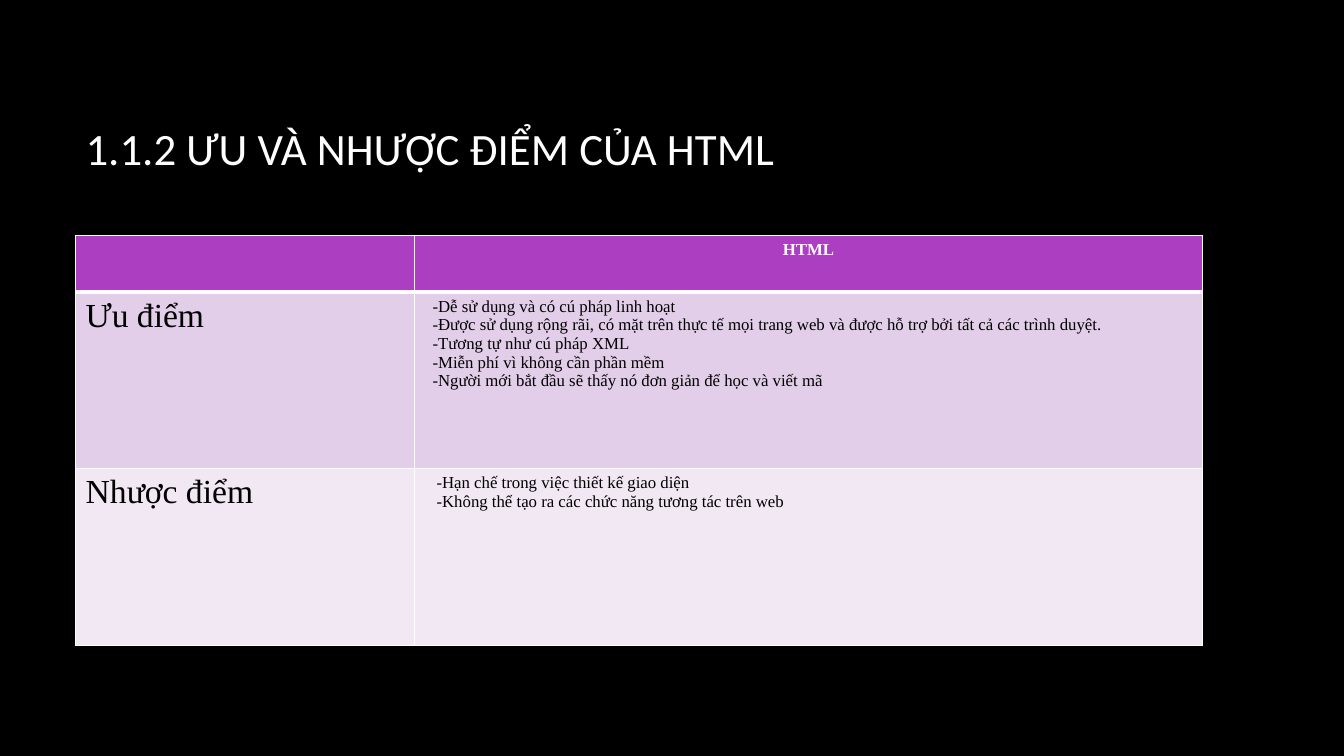
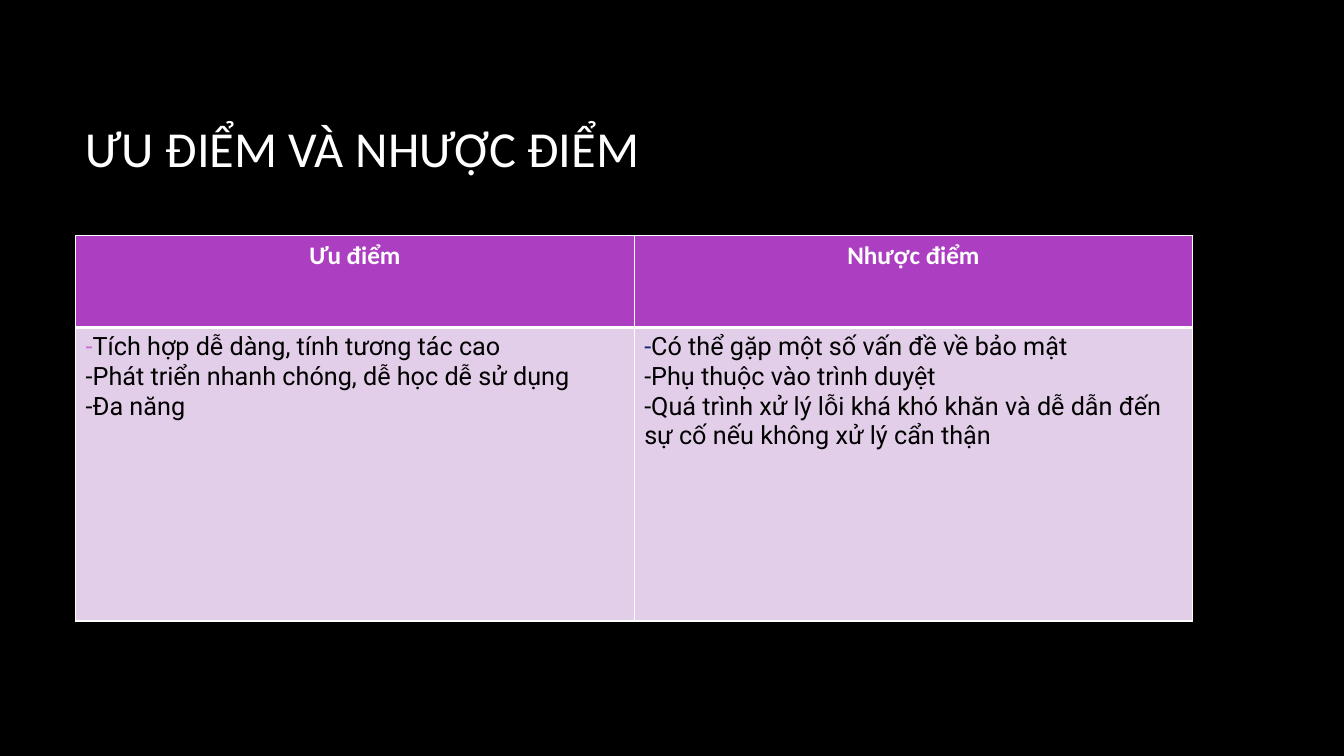
import pptx
import pptx.util
import pptx.dml.color
import pptx.enum.text
import lxml.etree

Inches, Pt = pptx.util.Inches, pptx.util.Pt
ALIGN = pptx.enum.text.PP_ALIGN
COLORS = {
    "background": "000000", "light": "FFFFFF", "dark": "000000",
    "header": "AC3EC1", "band": "E3CEE9", "band_pale": "F1E8F4",
    "dash_pink": "C573D2", "dash_navy": "18276C",
}
LEFT, TITLE_TOP, TABLE_TOP = 0.75, 0.67, 2.34
TITLE_W, TITLE_H = 11.08, 1.59
GRID_PT, HEADER_RULE_PT = 1, 3


def rgb(name):
    return pptx.dml.color.RGBColor.from_string(COLORS[name])


def set_font(font, name, size, color, bold=False):
    font.name, font.size, font.bold = name, Pt(size), bold
    font.color.rgb = rgb(color)


def add_slide(prs, title, title_size):
    s = prs.slides.add_slide(prs.slide_layouts[6])
    s.background.fill.solid()
    s.background.fill.fore_color.rgb = rgb("background")
    sp = s.shapes.add_textbox(Inches(LEFT), Inches(TITLE_TOP),
                              Inches(TITLE_W), Inches(TITLE_H))
    tf = sp.text_frame
    tf.word_wrap = True
    tf.vertical_anchor = pptx.enum.text.MSO_ANCHOR.MIDDLE
    p = tf.paragraphs[0]
    p.text = title
    set_font(p.font, "Calibri", title_size, "light")
    return s


def set_borders(cell, widths):
    """Draw light cell borders; widths maps L, R, T, B to points."""
    tc_pr = cell._tc.get_or_add_tcPr()
    ns = pptx.oxml.ns.qn
    for side, width in widths.items():
        ln = lxml.etree.SubElement(tc_pr, ns("a:ln" + side), w=str(Pt(width)))
        fill = lxml.etree.SubElement(ln, ns("a:solidFill"))
        lxml.etree.SubElement(fill, ns("a:srgbClr"), val=COLORS["light"])


def add_table(s, left, top, widths, heights, fills):
    """Add a ruled table with one fill per row and a thick rule under row 0."""
    table = s.shapes.add_table(len(heights), len(widths), Inches(left), Inches(top),
                               Inches(sum(widths)), Inches(sum(heights))).table
    table.first_row = table.horz_banding = False
    for column, width in zip(table.columns, widths):
        column.width = Inches(width)
    for i, (row, height, fill) in enumerate(zip(table.rows, heights, fills)):
        row.height = Inches(height)
        for cell in row.cells:
            set_borders(cell, {
                "L": GRID_PT, "R": GRID_PT,
                "T": HEADER_RULE_PT if i == 1 else GRID_PT,
                "B": HEADER_RULE_PT if i == 0 else GRID_PT})
            cell.fill.solid()
            cell.fill.fore_color.rgb = rgb(fill)
    return table


def fill_cell(cell, lines, font, size, color="dark", bold=False,
              align=ALIGN.LEFT, indent=0, dash_color=None):
    """Write one paragraph a line; dash_color tints the first line's dash."""
    tf = cell.text_frame
    cell.margin_left = Inches(0.1 + indent)
    for i, line in enumerate(lines):
        p = tf.paragraphs[0] if i == 0 else tf.add_paragraph()
        p.alignment = align
        set_font(p.font, font, size, color, bold)
        if i == 0 and dash_color:
            r = p.add_run()
            r.text, line = line[0], line[1:]
            r.font.color.rgb = rgb(dash_color)
        p.add_run().text = line


def build_html_slide(prs):
    s = add_slide(prs, "1.1.2 ƯU VÀ NHƯỢC ĐIỂM CỦA HTML", 32)
    table = add_table(s, LEFT, TABLE_TOP, [3.36, 7.82], [0.56, 1.75, 1.75],
                      ["header", "band", "band_pale"])
    serif = "Times New Roman"
    fill_cell(table.cell(0, 1), ["HTML"], serif, 12, "light", True, ALIGN.CENTER)
    rows = [
        ("Ưu điểm", 0.08, [
            "-Dễ sử dụng và có cú pháp linh hoạt",
            "-Được sử dụng rộng rãi, có mặt trên thực tế mọi trang web và được "
            "hỗ trợ bởi tất cả các trình duyệt.",
            "-Tương tự như cú pháp XML",
            "-Miễn phí vì không cần phần mềm",
            "-Người mới bắt đầu sẽ thấy nó đơn giản để học và viết mã"]),
        ("Nhược điểm", 0.12, [
            "-Hạn chế trong việc thiết kế giao diện",
            "-Không thể tạo ra các chức năng tương tác trên web"]),
    ]
    for i, (label, indent, lines) in enumerate(rows, 1):
        fill_cell(table.cell(i, 0), [label], serif, 24)
        fill_cell(table.cell(i, 1), lines, serif, 12, indent=indent)


def build_comparison_slide(prs):
    s = add_slide(prs, "ƯU ĐIỂM VÀ NHƯỢC ĐIỂM", 36)
    table = add_table(s, LEFT, TABLE_TOP, [5.54, 5.54], [0.91, 2.91],
                      ["header", "band"])
    columns = [
        ("Ưu điểm", "dash_pink", [
            "-Tích hợp dễ dàng, tính tương tác cao",
            "-Phát triển nhanh chóng, dễ học dễ sử dụng",
            "-Đa năng"]),
        ("Nhược điểm", "dash_navy", [
            "-Có thể gặp một số vấn đề về bảo mật",
            "-Phụ thuộc vào trình duyệt",
            "-Quá trình xử lý lỗi khá khó khăn và dễ dẫn đến sự cố nếu không "
            "xử lý cẩn thận"]),
    ]
    for j, (heading, dash_color, lines) in enumerate(columns):
        fill_cell(table.cell(0, j), [heading], "Calibri", 18, "light", True, ALIGN.CENTER)
        fill_cell(table.cell(1, j), lines, "Roboto", 18, dash_color=dash_color)


def main():
    prs = pptx.Presentation()
    prs.slide_width, prs.slide_height = Inches(13.33), Inches(7.5)
    build_html_slide(prs)
    build_comparison_slide(prs)
    prs.save("out.pptx")


if __name__ == "__main__":
    main()
